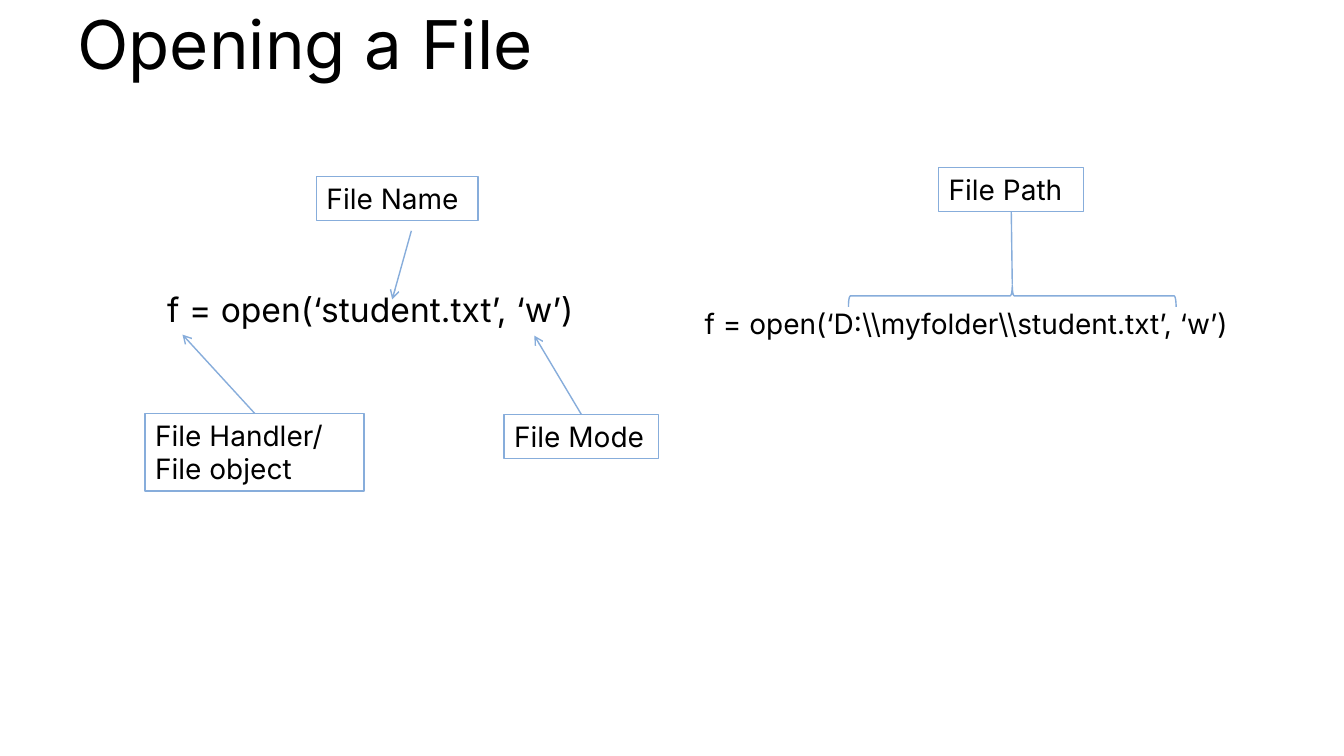
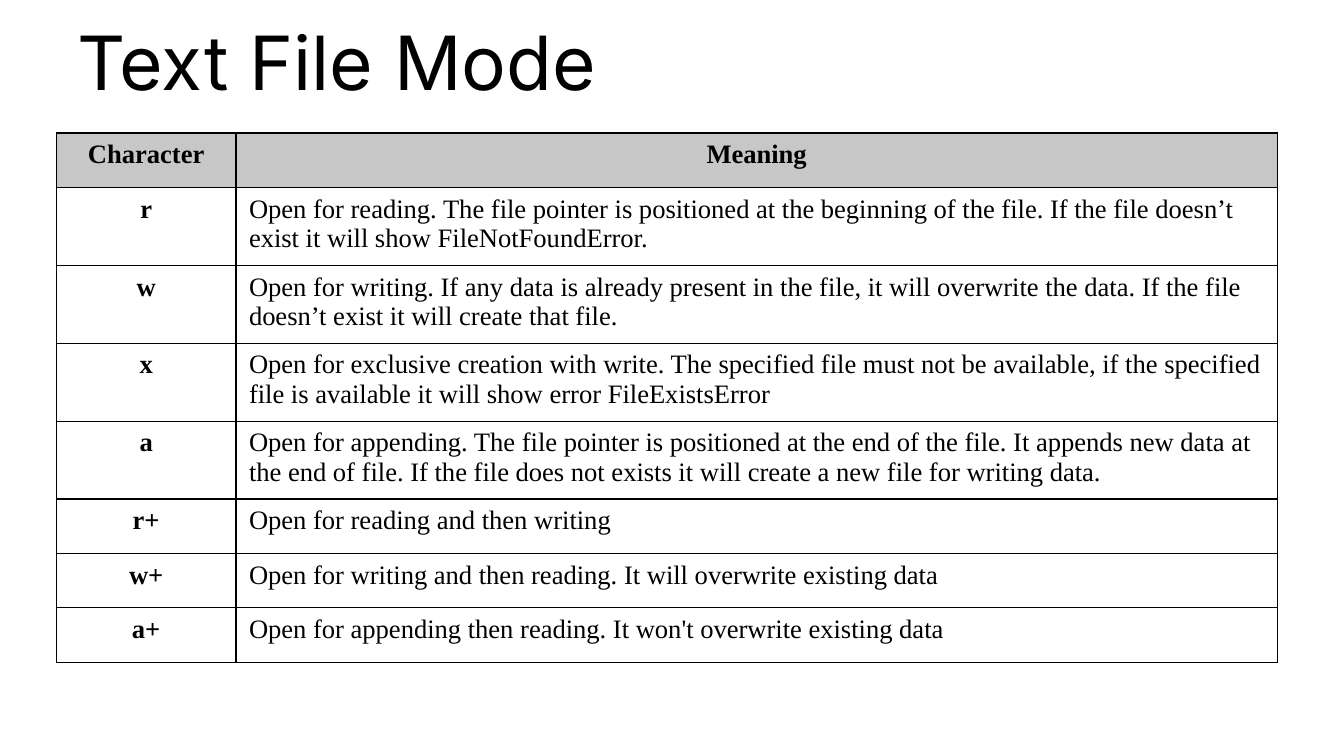
from lxml import etree
from pptx import Presentation
from pptx import util as u
from pptx.dml.color import RGBColor
from pptx.enum import shapes, text
from pptx.oxml.ns import qn

BLACK, WHITE, BLUE, GREY = "000000", "FFFFFF", "87ADDB", "C7C7C7"
SANS, SERIF = "Inter", "Times New Roman"


def color(value):
    return RGBColor.from_string(value)


def inches(*lengths):
    return [u.Inches(length) for length in lengths]


class Lesson:
    """Holds the deck's style and the current page."""

    def __init__(self):
        self.deck = Presentation()
        self.deck.slide_width, self.deck.slide_height = inches(13.33, 7.5)
        self.page = None

    def add_page(self):
        self.page = self.deck.slides.add_slide(self.deck.slide_layouts[6])

    def style(self, para, size, font=SANS, bold=False):
        para.font.name, para.font.size, para.font.bold = font, u.Pt(size), bold
        para.font.color.rgb = color(BLACK)

    def set_lines(self, frame, lines, size, spacing=None):
        frame.word_wrap = True
        frame.vertical_anchor = text.MSO_ANCHOR.TOP
        frame.text = "\n".join(lines)
        for para in frame.paragraphs:
            para.alignment = text.PP_ALIGN.LEFT
            para.line_spacing = spacing
            self.style(para, size)

    def textbox(self, words, left, top, width, height, size, spacing=None):
        box = self.page.shapes.add_textbox(*inches(left, top, width, height))
        self.set_lines(box.text_frame, [words], size, spacing)

    def title(self, words, top, height, size):
        self.textbox(words, 0.67, top, 12, height, size, 0.9)

    def outline(self, kind, left, top, width, height):
        shape = self.page.shapes.add_shape(kind, *inches(left, top, width, height))
        shape.shadow.inherit = False
        shape.line.color.rgb = color(BLUE)
        shape.line.width = u.Pt(1)
        return shape

    def label(self, lines, left, top, width, height=0.44):
        box = self.outline(shapes.MSO_SHAPE.RECTANGLE, left, top, width, height)
        box.fill.solid()
        box.fill.fore_color.rgb = color(WHITE)
        self.set_lines(box.text_frame, lines, 20)
        return box

    def brace(self, left, top, width, height):
        brace = self.outline(shapes.MSO_SHAPE.RIGHT_BRACE, left, top, width, height)
        brace.fill.background()
        brace.rotation = 270

    def line(self, start, end, box=None, site=0, arrow=True):
        line = self.page.shapes.add_connector(
            shapes.MSO_CONNECTOR.STRAIGHT, *inches(*start, *end))
        if box is not None:
            line.begin_connect(box, site)
        line.line.color.rgb = color(BLUE)
        line.line.width = u.Pt(1)
        props = line._element.spPr
        if arrow:
            etree.SubElement(props.find(qn("a:ln")), qn("a:tailEnd"), type="arrow")
        etree.SubElement(props, qn("a:effectLst"))

    def border(self, cell):
        props = cell._tc.get_or_add_tcPr()
        for side in ("a:lnL", "a:lnR", "a:lnT", "a:lnB"):
            edge = etree.SubElement(props, qn(side), w=str(int(u.Pt(1))))
            fill = etree.SubElement(edge, qn("a:solidFill"))
            etree.SubElement(fill, qn("a:srgbClr"), val=BLACK)

    def table(self, rows, left, top, widths, heights):
        table = self.page.shapes.add_table(
            len(rows), len(widths),
            *inches(left, top, sum(widths), sum(heights))).table
        table.first_row = table.horz_banding = False
        for column, width in zip(table.columns, widths):
            column.width = u.Inches(width)
        for r, (row, height) in enumerate(zip(rows, heights)):
            table.rows[r].height = u.Inches(height)
            for c, words in enumerate(row):
                self.cell(table.cell(r, c), words, header=r == 0, key=c == 0)

    def cell(self, cell, words, header, key):
        cell.margin_left = cell.margin_right = u.Inches(0.13)
        cell.margin_top = cell.margin_bottom = u.Inches(0.07)
        self.border(cell)
        if header:
            cell.fill.solid()
            cell.fill.fore_color.rgb = color(GREY)
        else:
            cell.fill.background()
        cell.text = words
        para = cell.text_frame.paragraphs[0]
        strong = header or key
        para.alignment = text.PP_ALIGN.CENTER if strong else text.PP_ALIGN.LEFT
        self.style(para, 19, SERIF, strong)


MODES = [
    ("Character", "Meaning"),
    ("r", "Open for reading. The file pointer is positioned at the beginning of the file. "
          "If the file doesn’t exist it will show FileNotFoundError."),
    ("w", "Open for writing. If any data is already present in the file, it will overwrite "
          "the data. If the file doesn’t exist it will create that file."),
    ("x", "Open for exclusive creation with write. The specified file must not be available, "
          "if the specified file is available it will show error FileExistsError"),
    ("a", "Open for appending. The file pointer is positioned at the end of the file. "
          "It appends new data at the end of file. If the file does not exists it will "
          "create a new file for writing data."),
    ("r+", "Open for reading and then writing"),
    ("w+", "Open for writing and then reading. It will overwrite existing data"),
    ("a+", "Open for appending then reading. It won't overwrite existing data"),
]


def opening_page(lesson):
    lesson.add_page()
    lesson.title("Opening a File", 0.06, 1.25, 48)

    # Call with a file name, and its labelled parts
    lesson.textbox("f = open(‘student.txt’, ‘w’)", 1.56, 2.86, 5.11, 0.78, 24, 0.9)
    handler = lesson.label(["File Handler/", "File object"], 1.44, 4.1, 2.17, 0.77)
    lesson.line((2.53, 4.1), (1.81, 3.32), handler)
    mode = lesson.label(["File Mode"], 5, 4.11, 1.53)
    lesson.line((5.76, 4.11), (5.3, 3.33), mode)
    lesson.label(["File Name"], 3.14, 1.75, 1.6)
    lesson.line((4.08, 2.29), (3.89, 2.97))

    # Call with a full location, marked by a brace
    lesson.textbox("f = open(‘D:\\\\myfolder\\\\student.txt’, ‘w’)",
                   6.89, 2.99, 6.05, 0.44, 20)
    location = lesson.label(["File Path"], 9.31, 1.66, 1.44)
    lesson.brace(9.93, 1.31, 0.22, 3.25)
    lesson.line((10.03, 2.1), (10.04, 2.82), location, site=2, arrow=False)


def modes_page(lesson):
    lesson.add_page()
    lesson.title("Text File Mode", 0.21, 1.11, 53.4)
    # Rows with two lines of text are taller
    heights = [0.76 if len(meaning) > 100 else 0.54 for _, meaning in MODES]
    lesson.table(MODES, 0.56, 1.32, [1.78, 10.33], heights)


def main():
    lesson = Lesson()
    opening_page(lesson)
    modes_page(lesson)
    lesson.deck.save("out.pptx")


if __name__ == "__main__":
    main()
